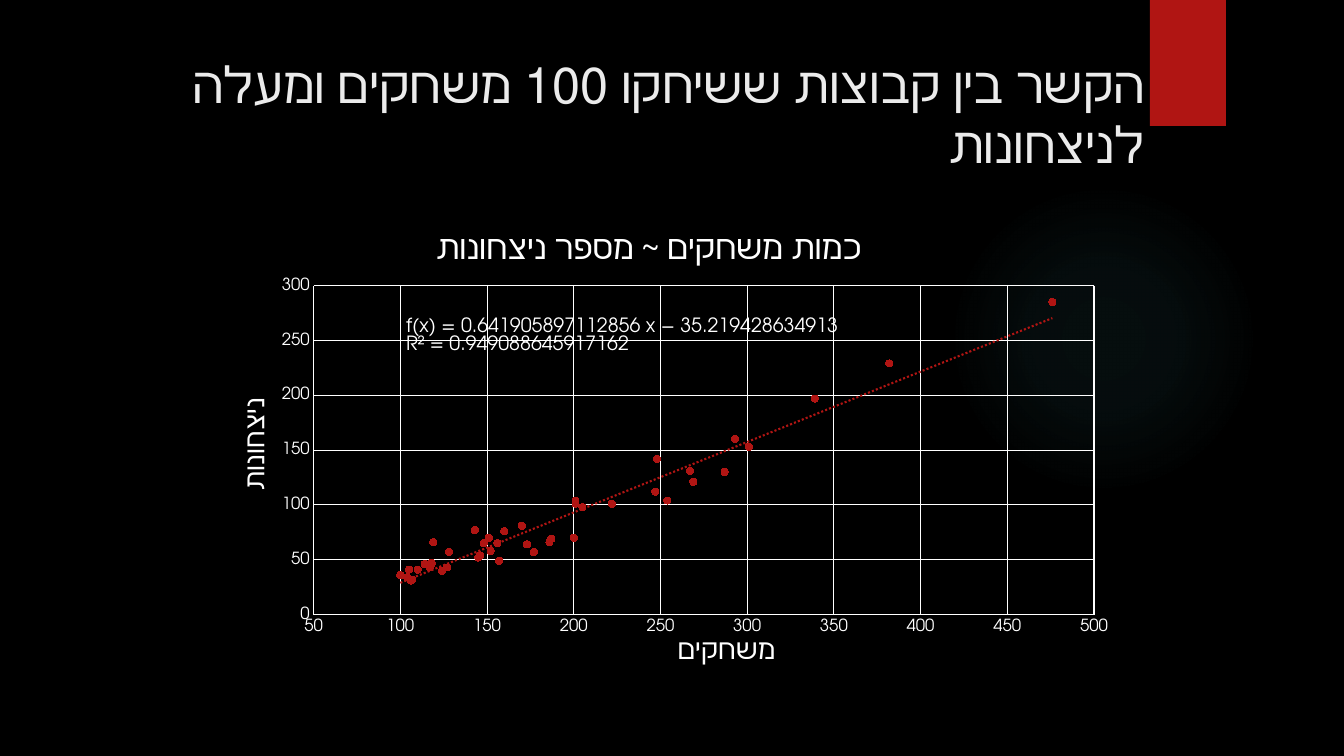
import pptx
import pptx.chart.data
import pptx.dml.color
import pptx.enum.chart
import pptx.enum.shapes
import pptx.enum.text
import pptx.oxml
import pptx.oxml.ns
import pptx.util

PIXEL = 914400 / 100.8
FONT = "TeX Gyre Adventor"
RED, WHITE, TEAL = "B01513", "FFFFFF", "50B9C1"
qn = pptx.oxml.ns.qn

GAMES = [476, 382, 339, 301, 293, 287, 269, 267, 254, 248, 247, 222, 205, 201, 201,
         200, 187, 186, 177, 173, 170, 160, 157, 156, 152, 152, 151, 148, 146, 145,
         143, 128, 127, 124, 119, 118, 118, 117, 114, 110, 107, 106, 105, 104, 100]
WINS = [285, 229, 197, 153, 160, 130, 121, 131, 104, 142, 112, 101, 98, 101, 104,
        70, 69, 66, 57, 64, 81, 76, 49, 65, 58, 58, 70, 65, 54, 52,
        77, 57, 43, 40, 66, 46, 47, 43, 46, 41, 32, 31, 41, 34, 36]


def color(value):
    """Return the colour of a hex string."""
    return pptx.dml.color.RGBColor.from_string(value)


def emu(box):
    """Turn a box in pixels into EMU."""
    return [round(length * PIXEL) for length in box]


def style_font(font, size, value):
    """Set typeface, size and colour of a font."""
    font.name, font.size, font.bold = FONT, pptx.util.Pt(size), False
    font.color.rgb = color(value)


def style_line(line, value=WHITE, width=0.75):
    """Set colour and width of a line."""
    line.color.rgb = color(value)
    line.width = pptx.util.Pt(width)


def chart_xml(markup):
    """Parse chart markup with its namespaces declared."""
    head, rest = markup.split(">", 1)
    return pptx.oxml.parse_xml(f"{head} {pptx.oxml.ns.nsdecls('c', 'a')}>{rest}")


def set_layout(element, index, left, top, width=None, height=None):
    """Place a chart part by fractions of the chart."""
    for old in element.findall(qn("c:layout")):
        element.remove(old)
    parts = '<c:layoutTarget val="inner"/>' if width else ""
    parts += '<c:xMode val="edge"/><c:yMode val="edge"/>'
    for tag, value in zip("xywh", (left, top, width, height)):
        parts += f'<c:{tag} val="{value}"/>' if value is not None else ""
    element.insert(index, chart_xml(
        f"<c:layout><c:manualLayout>{parts}</c:manualLayout></c:layout>"))


def set_chart_title(title, text, size, left, top, rotation=0):
    """Write, style and place a title inside the chart."""
    frame = title.text_frame
    frame.text = text
    style_font(frame.paragraphs[0].runs[0].font, size, WHITE)
    body = frame._txBody.find(qn("a:bodyPr"))
    body.set("rot", str(rotation * 60000))
    body.set("vert", "horz")
    set_layout(title._element, 1, left, top)


def style_axis(axis, minimum, maximum):
    """Set scale, gridlines and labels of an axis."""
    axis.minimum_scale, axis.maximum_scale, axis.major_unit = minimum, maximum, 50
    axis.has_major_gridlines = True
    axis.major_tick_mark = axis.minor_tick_mark = pptx.enum.chart.XL_TICK_MARK.NONE
    style_line(axis.format.line)
    style_line(axis.major_gridlines.format.line)
    style_font(axis.tick_labels.font, 12, WHITE)


def add_trendline(series):
    """Add a dotted linear trend line."""
    trendline = chart_xml(
        '<c:trendline><c:spPr><a:ln w="19050">'
        f'<a:solidFill><a:srgbClr val="{RED}"/></a:solidFill>'
        '<a:prstDash val="sysDot"/></a:ln></c:spPr><c:trendlineType val="linear"/>'
        '<c:dispRSqr val="0"/><c:dispEq val="0"/></c:trendline>')
    series._element.find(qn("c:xVal")).addprevious(trendline)


def add_wins_chart(slide, box):
    """Add the scatter chart of games against wins."""
    data = pptx.chart.data.XyChartData()
    points = data.add_series("Series 1")
    for games, wins in zip(GAMES, WINS):
        points.add_data_point(games, wins)
    chart = slide.shapes.add_chart(
        pptx.enum.chart.XL_CHART_TYPE.XY_SCATTER, *emu(box), data).chart
    style_font(chart.font, 10, WHITE)
    chart.has_legend = False
    set_chart_title(chart.chart_title, "כמות משחקים ~ מספר ניצחונות", 24, 0.23, 0.01)
    plot = chart.plots[0]
    plot.vary_by_categories = False
    style_axis(chart.category_axis, 50, 500)
    style_axis(chart.value_axis, 0, 300)
    set_chart_title(chart.category_axis.axis_title, "משחקים", 20, 0.5, 0.91)
    set_chart_title(chart.value_axis.axis_title, "ניצחונות", 20, 0.01, 0.39, -90)
    set_layout(chart._chartSpace.find(".//" + qn("c:plotArea")), 0,
               0.1, 0.15, 0.87, 0.73)

    series = plot.series[0]
    series.format.line.fill.background()
    marker = series.marker
    marker.style, marker.size = pptx.enum.chart.XL_MARKER_STYLE.CIRCLE, 5
    marker.format.fill.solid()
    marker.format.fill.fore_color.rgb = color(RED)
    style_line(marker.format.line, RED)
    series.smooth = False
    add_trendline(series)


def add_equation(slide, box):
    """Add the equation of the trend line over the chart."""
    frame = slide.shapes.add_textbox(*emu(box)).text_frame
    frame.margin_left = frame.margin_right = frame.margin_top = frame.margin_bottom = 0
    frame.word_wrap = True
    frame.text = "f(x) = 0.641905897112856 x − 35.219428634913\nR² = 0.949088645917162"
    for paragraph in frame.paragraphs:
        paragraph.line_spacing = pptx.util.Pt(13)
        style_font(paragraph.runs[0].font, 14, WHITE)


def add_plain_shape(slide, kind, box, value):
    """Add a filled shape without outline or shadow."""
    shape = slide.shapes.add_shape(kind, *emu(box))
    shape.shadow.inherit = False
    shape.line.fill.background()
    shape.fill.solid()
    shape.fill.fore_color.rgb = color(value)
    return shape


def add_glow(slide, box):
    """Add the faint round glow that fades outwards."""
    glow = add_plain_shape(slide, pptx.enum.shapes.MSO_SHAPE.OVAL, box, TEAL)
    stops = "".join(
        f'<a:gs pos="{position}000"><a:srgbClr val="{TEAL}">'
        f'<a:alpha val="{alpha}000"/></a:srgbClr></a:gs>'
        for position, alpha in ((0, 7), (36, 6), (69, 0), (100, 0)))
    gradient = pptx.oxml.parse_xml(
        f'<a:gradFill {pptx.oxml.ns.nsdecls("a")}><a:gsLst>{stops}</a:gsLst>'
        '<a:path path="circle"><a:fillToRect l="50000" t="50000" r="50000" b="50000"/>'
        '</a:path></a:gradFill>')
    solid = glow._element.spPr.find(qn("a:solidFill"))
    solid.getparent().replace(solid, gradient)


def format_title(slide, box):
    """Write the right-to-left title in its placeholder."""
    title = slide.shapes.title
    title.left, title.top, title.width, title.height = emu(box)
    frame = title.text_frame
    frame.text = "הקשר בין קבוצות ששיחקו 100 משחקים ומעלה לניצחונות"
    frame.word_wrap = True
    frame.auto_size = pptx.enum.text.MSO_AUTO_SIZE.NONE
    frame.vertical_anchor = pptx.enum.text.MSO_ANCHOR.TOP
    paragraph = frame.paragraphs[0]
    paragraph.alignment = pptx.enum.text.PP_ALIGN.RIGHT
    paragraph._p.get_or_add_pPr().set("rtl", "1")
    style_font(paragraph.runs[0].font, 36, "EBEBEB")


def build_slide(presentation):
    """Build the slide on games and wins."""
    slide = presentation.slides.add_slide(presentation.slide_layouts[5])
    slide.background.fill.solid()
    slide.background.fill.fore_color.rgb = color("000000")
    add_glow(slide, (949, 184, 310, 310))
    add_plain_shape(slide, pptx.enum.shapes.MSO_SHAPE.RECTANGLE, (1150, 0, 76, 126), RED)
    format_title(slide, (118, 48, 1037, 154))
    add_wins_chart(slide, (224, 218, 897, 455))
    add_equation(slide, (406, 318, 460, 36))


presentation = pptx.Presentation()
presentation.slide_width, presentation.slide_height = emu((1344, 756))
build_slide(presentation)
presentation.save("out.pptx")
